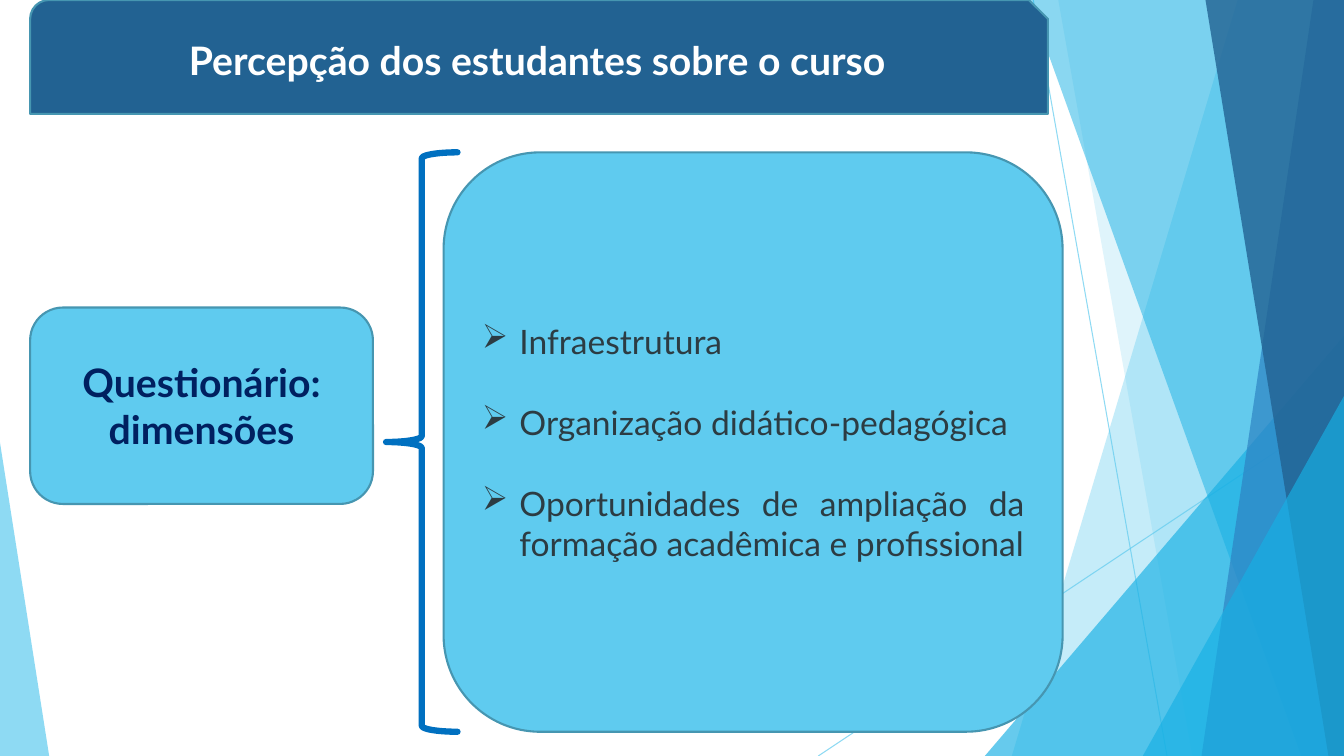
from dataclasses import dataclass

from lxml import etree
from pptx import Presentation
from pptx.dml.color import RGBColor
from pptx.enum.shapes import MSO_CONNECTOR, MSO_SHAPE
from pptx.enum.text import MSO_ANCHOR, PP_ALIGN
from pptx.oxml.ns import qn
from pptx.util import Cm, Pt

STRAIGHT = MSO_CONNECTOR.STRAIGHT
SNIPPED, ROUNDED = MSO_SHAPE.SNIP_ROUND_RECTANGLE, MSO_SHAPE.ROUNDED_RECTANGLE
BRACE, TRIANGLE = MSO_SHAPE.LEFT_BRACE, MSO_SHAPE.ISOSCELES_TRIANGLE
MIDDLE = MSO_ANCHOR.MIDDLE
CENTER, JUSTIFY = PP_ALIGN.CENTER, PP_ALIGN.JUSTIFY


@dataclass(frozen=True)
class Theme:
    """Colours, font and sizes of the slide."""
    sky: str = "5FCBEF"
    cyan: str = "17B0E4"
    blue: str = "2E83C3"
    deep: str = "226292"
    outline: str = "4696B1"
    brace: str = "0070C0"
    navy: str = "002060"
    body: str = "2C3C43"
    white: str = "FFFFFF"
    font: str = "Lato"
    heading_size: float = 28
    body_size: float = 24
    item_gap: float = 29
    hairline: float = 0.75
    border: float = 1.5
    brace_line: float = 4.5


@dataclass(frozen=True)
class Box:
    """A region in centimetres."""
    left: float
    top: float
    width: float
    height: float

    @property
    def right(self):
        """Return the right edge."""
        return self.left + self.width

    @property
    def bottom(self):
        """Return the bottom edge."""
        return self.top + self.height

    def emu(self):
        """Return left, top, width and height as lengths."""
        return Cm(self.left), Cm(self.top), Cm(self.width), Cm(self.height)


THEME = Theme()
PAGE = Box(0, 0, 33.87, 19.05)


def colour(fill, rgb, opacity=100):
    """Make a fill solid, translucent when opacity is below 100."""
    fill.solid()
    fill.fore_color.rgb = RGBColor.from_string(rgb)
    if opacity < 100:
        for tone in fill._xPr.iter(qn("a:srgbClr")):
            etree.SubElement(tone, qn("a:alpha"), val=str(opacity * 1000))


def style(shape, fill=None, opacity=100, line=None, width=THEME.border):
    """Set fill and outline and remove the shadow."""
    shape.shadow.inherit = False
    if fill:
        colour(shape.fill, fill, opacity)
    else:
        shape.fill.background()
    if line:
        colour(shape.line.fill, line)
        shape.line.width = Pt(width)
    else:
        shape.line.fill.background()


def write(shape, *paragraphs, size, color, bold=False, align=CENTER, gap=0, bullet=None, indent=0):
    """Fill a shape with formatted paragraphs."""
    frame = shape.text_frame
    frame.word_wrap = True
    frame.vertical_anchor = MIDDLE
    for index, text in enumerate(paragraphs):
        paragraph = frame.paragraphs[0] if index == 0 else frame.add_paragraph()
        paragraph.alignment = align
        paragraph.space_before = Pt(gap if index else 0)
        run = paragraph.add_run()
        run.text = text
        run.font.name, run.font.size, run.font.bold = THEME.font, Pt(size), bold
        run.font.color.rgb = RGBColor.from_string(color)
        if bullet:
            properties = paragraph._p.get_or_add_pPr()
            properties.set("marL", str(Cm(indent)))
            properties.set("indent", str(-Cm(indent)))
            etree.SubElement(properties, qn("a:buChar"), char=bullet)


def ray(slide, start, end):
    """Draw a thin translucent line."""
    line = slide.shapes.add_connector(STRAIGHT, *map(Cm, start + end))
    colour(line.line.fill, THEME.sky, 70)
    line.line.width = Pt(THEME.hairline)
    etree.SubElement(line._element.spPr, qn("a:effectLst"))


def band(slide, box, top_x, bottom_x, fill, opacity):
    """Draw a facet from a slanted edge to the right side of the box."""
    corners = [(top_x, 0), (box.width, 0), (box.width, box.height), (bottom_x, box.height)]
    points = [(Cm(box.left + x), Cm(box.top + y)) for x, y in corners]
    outline = slide.shapes.build_freeform(*points[0])
    outline.add_line_segments(points[1:], close=True)
    style(outline.convert_to_shape(), fill, opacity)


def corner(slide, box, apex, fill, opacity):
    """Draw a right-angled facet with its apex at the given fraction."""
    facet = slide.shapes.add_shape(TRIANGLE, *box.emu())
    facet.adjustments[0] = apex
    style(facet, fill, opacity)


def backdrop(slide, box):
    """Draw the rays and overlapping facets along the sides of the box."""
    def right_corner(x, y):
        area = Box(box.left + x, box.top + y, box.width - x, box.height - y)
        corner(slide, area, 1, THEME.cyan, 66)

    ray(slide, (box.left + 26.04, box.top), (box.left + 29.41, box.bottom))
    ray(slide, (box.right, box.top + 10.24), (box.left + 20.62, box.bottom))
    band(slide, box, 31.19, 25.5, THEME.sky, 36)
    band(slide, box, 26.67, 30.05, THEME.sky, 20)
    right_corner(24.82, 8.46)
    band(slide, box, 25.93, 32.79, THEME.cyan, 50)
    band(slide, box, 33.1, 30.28, THEME.blue, 70)
    band(slide, box, 30.38, 33.48, THEME.deep, 80)
    right_corner(28.8, 9.98)
    corner(slide, Box(box.left, box.top + 11.15, 1.24, box.height - 11.15), 0, THEME.sky, 70)


def panel(slide, box, preset, fill):
    """Draw an outlined panel and return it."""
    shape = slide.shapes.add_shape(preset, *box.emu())
    style(shape, fill, line=THEME.outline)
    return shape


def header(slide, box, title):
    """Draw the title bar."""
    write(panel(slide, box, SNIPPED, THEME.deep), title,
          size=THEME.heading_size, color=THEME.white, bold=True)


def dimensions(slide, box, topic, items):
    """Draw a topic joined by a brace to its list of items."""
    topic_box = Box(box.left, box.top + 3.91, 8.64, 4.95)
    list_box = Box(box.right - 15.6, box.top, 15.6, box.height)
    brace_box = Box(box.left + 8.97, box.top, 1.8, box.height)
    write(panel(slide, topic_box, ROUNDED, THEME.sky), topic,
          size=THEME.heading_size, color=THEME.navy, bold=True)
    write(panel(slide, list_box, ROUNDED, THEME.sky), *items,
          size=THEME.body_size, color=THEME.body, align=JUSTIFY,
          gap=THEME.item_gap, bullet="➢", indent=0.95)
    brace = slide.shapes.add_shape(BRACE, *brace_box.emu())
    style(brace, line=THEME.brace, width=THEME.brace_line)
    brace.line._get_or_add_ln().set("cap", "rnd")


def main():
    """Build and save the slide."""
    deck = Presentation()
    deck.slide_width, deck.slide_height = Cm(PAGE.width), Cm(PAGE.height)
    slide = deck.slides.add_slide(deck.slide_layouts[6])
    backdrop(slide, PAGE)
    header(slide, Box(0.76, 0, 25.65, 2.87), "Percepção dos estudantes sobre o curso")
    dimensions(slide, Box(0.76, 3.84, 26.02, 14.6), "Questionário: dimensões", [
        "Infraestrutura",
        "Organização didático-pedagógica",
        "Oportunidades de ampliação da formação acadêmica e profissional",
    ])
    deck.save("out.pptx")


main()
